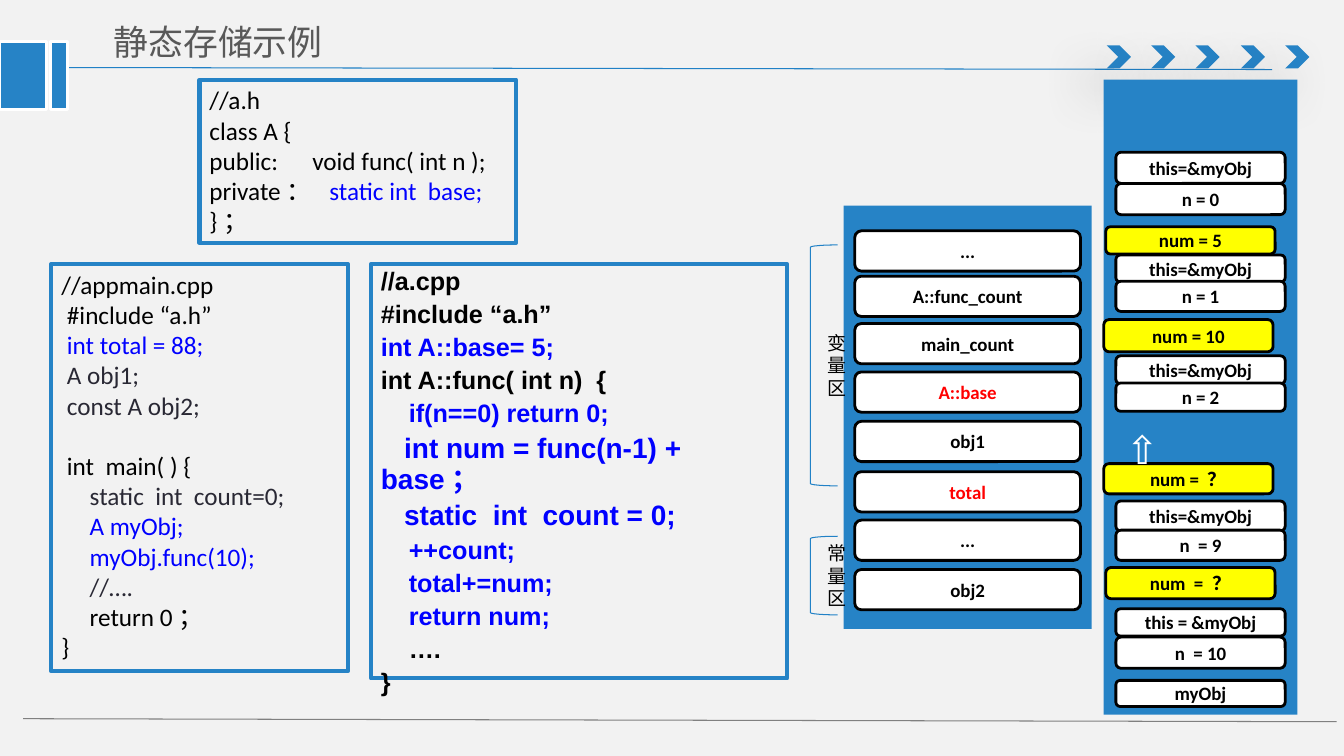
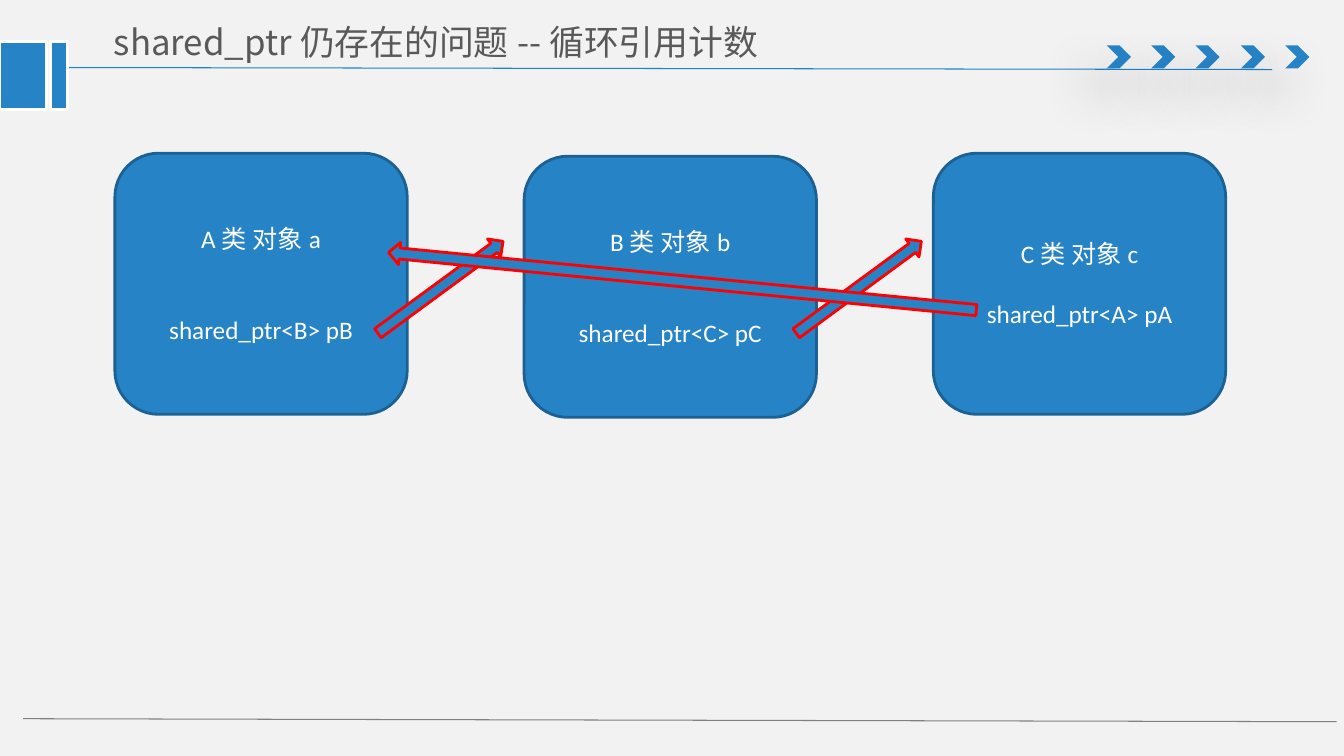
from dataclasses import dataclass

from pptx import Presentation
from pptx.dml.color import RGBColor
from pptx.enum.shapes import MSO_CONNECTOR, MSO_SHAPE
from pptx.enum.text import MSO_ANCHOR, PP_ALIGN
from pptx.oxml.ns import qn
from pptx.oxml.xmlchemy import OxmlElement
from pptx.util import Emu, Pt

PX = 9144  # EMU per px, 100 px to the inch


@dataclass(frozen=True)
class Theme:
    paper: str = "F2F2F2"
    blue: str = "2683C6"
    rule: str = "2181C6"
    edge: str = "1C6192"
    grey: str = "808080"
    title: str = "595959"
    white: str = "FFFFFF"
    black: str = "000000"
    ink: str = "292834"
    code_blue: str = "0000FF"
    red: str = "FF0000"
    yellow: str = "FFFF00"
    body_font: str = "Calibri"
    bold_font: str = "Arial"
    cjk_font: str = "Noto Sans CJK SC"
    title_size: float = 24.9
    body_size: float = 18
    large_size: float = 20
    slot_size: float = 13.5
    arrow_size: float = 28


T = Theme()


@dataclass
class Line:
    """One paragraph; tail is an optional second run as (text, colour)."""
    text: str
    color: str = T.black
    size: float = T.body_size
    before: float = 0
    tail: tuple = None
    tab: int = 0


def px(n):
    return Emu(n * PX)


def rgb(color):
    return RGBColor.from_string(color)


def add_child(parent, tag, **attrs):
    child = OxmlElement(tag)
    for name, value in attrs.items():
        child.set(name, str(value))
    parent.append(child)
    return child


def write(tf, lines, *, font=T.body_font, bold=False, align=PP_ALIGN.LEFT,
          anchor=MSO_ANCHOR.TOP, spacing=None, insets=None):
    tf.word_wrap = True
    tf.vertical_anchor = anchor
    if insets:
        tf.margin_left = tf.margin_right = px(insets[0])
        tf.margin_top = tf.margin_bottom = px(insets[1])
    for i, line in enumerate(lines):
        p = tf.paragraphs[0] if i == 0 else tf.add_paragraph()
        p.alignment = align
        if spacing:
            p.line_spacing = spacing
        if i and line.before:
            p.space_before = Pt(line.before)
        if line.tab:
            tabs = add_child(p._p.get_or_add_pPr(), "a:tabLst")
            add_child(tabs, "a:tab", pos=px(line.tab), algn="l")
        for text, color in filter(None, [(line.text, line.color), line.tail]):
            r = p.add_run()
            r.text = text
            r.font.name = font
            r.font.size = Pt(line.size)
            r.font.bold = bold
            r.font.color.rgb = rgb(color)
            add_child(r._r.get_or_add_rPr(), "a:ea", typeface=T.cjk_font)


class Deck:
    def __init__(self):
        self.prs = Presentation()
        self.prs.slide_width, self.prs.slide_height = Emu(12192000), px(750)
        bg = self.prs.slide_master.background.fill
        bg.solid()
        bg.fore_color.rgb = rgb(T.paper)

    def new_slide(self, title, title_width):
        """Add a slide with the shared rules, chevrons, blocks and title."""
        self.slide = self.prs.slides.add_slide(self.prs.slide_layouts[6])
        self.rule(53, 67, 1262, 69, T.rule)
        for i in range(5):
            self.chevron(round(1098 + 44.25 * i), 45)
        self.rule(23, 713, 1326, 716, T.grey)
        for x, w in ((0, 46), (50, 17)):
            self.shape(MSO_SHAPE.RECTANGLE, x, 41, w, 68, T.blue, T.white)
        self.text(99, 14, title_width, 55,
                  [Line(title, T.title, T.title_size)], font=T.cjk_font,
                  anchor=MSO_ANCHOR.MIDDLE, insets=(14, 7))

    def rule(self, x1, y1, x2, y2, color):
        cx = self.slide.shapes.add_connector(
            MSO_CONNECTOR.STRAIGHT, px(x1), px(y1), px(x2), px(y2))
        cx.line.color.rgb = rgb(color)
        cx.line.width = Pt(0.75)
        add_child(cx._element.spPr, "a:effectLst")

    def shape(self, kind, x, y, w, h, fill=None, line=None, width=2):
        sp = self.slide.shapes.add_shape(kind, px(x), px(y), px(w), px(h))
        sp.shadow.inherit = False
        if fill:
            sp.fill.solid()
            sp.fill.fore_color.rgb = rgb(fill)
        else:
            sp.fill.background()
        if line:
            sp.line.color.rgb = rgb(line)
            sp.line.width = Pt(width)
        else:
            sp.line.fill.background()
        return sp

    def chevron(self, x, y):
        sp = self.shape(MSO_SHAPE.CHEVRON, x, y, 24, 23, T.blue)
        effects = sp._element.spPr.find(qn("a:effectLst"))
        shadow = add_child(effects, "a:outerShdw", blurRad=Pt(36),
                           dist=Pt(24), dir=130 * 60000, rotWithShape=0)
        color = add_child(shadow, "a:srgbClr", val=T.black)
        add_child(color, "a:alpha", val=38000)

    def text(self, x, y, w, h, lines, **fmt):
        tb = self.slide.shapes.add_textbox(px(x), px(y), px(w), px(h))
        write(tb.text_frame, lines, **fmt)

    def code(self, x, y, w, h, lines, **fmt):
        sp = self.shape(MSO_SHAPE.RECTANGLE, x, y, w, h, line=T.blue, width=3)
        write(sp.text_frame, lines, **fmt)

    def label(self, sp, lines, bold=False):
        """Write centred lines in the middle of a shape."""
        write(sp.text_frame, lines, bold=bold, align=PP_ALIGN.CENTER,
              anchor=MSO_ANCHOR.MIDDLE)

    def slot(self, x, y, w, h, text, color=T.black, fill=T.white):
        sp = self.shape(MSO_SHAPE.ROUNDED_RECTANGLE, x, y, w, h, fill, T.black)
        self.label(sp, [Line(text, color, T.slot_size)], bold=True)

    def bracket(self, x, y, w, h, text):
        sp = self.shape(MSO_SHAPE.LEFT_BRACKET, x, y, w, h,
                        line=T.rule, width=0.75)
        self.label(sp, [Line(text, size=T.slot_size)])

    def object_box(self, x, y, name, pointer, gap):
        sp = self.shape(MSO_SHAPE.ROUNDED_RECTANGLE, x, y, 290, 259,
                        T.blue, T.edge)
        self.label(sp, [Line(name, T.white),
                        Line(pointer, T.white, before=gap)])

    def arrow(self, x, y, w, angle):
        sp = self.shape(MSO_SHAPE.RIGHT_ARROW, x, y, w, 22, T.blue, T.red)
        sp.rotation = angle


def storage_slide(deck):
    deck.new_slide("静态存储示例", 463)
    deck.code(198, 79, 314, 162, [
        Line("//a.h"),
        Line("class A {"),
        Line("public:\tvoid func( int n );", tab=102),
        Line("private：", tab=119, tail=("\tstatic int  base;", T.code_blue)),
        Line("}；"),
    ])
    deck.code(51, 262, 294, 404, [
        Line("//appmain.cpp"),
        Line(" #include “a.h”"),
        Line(" int total = 88;", T.code_blue),
        Line(" A obj1;", T.ink),
        Line(" const A obj2;", T.ink),
        Line(" int  main( ) {", before=21.5),
        Line("     static  int  count=0;", T.ink),
        Line("     A myObj;", T.code_blue),
        Line("     myObj.func(10);", T.code_blue),
        Line("     //….", T.ink),
        Line("     return 0；"),
        Line("}"),
    ])
    source = [
        Line("//a.cpp"),
        Line("#include “a.h”"),
        Line("int A::base= 5;", T.code_blue),
        Line("int A::func( int n)  {"),
        Line("    if(n==0) return 0;", T.code_blue),
        Line("   int num = func(n-1) + base；", T.code_blue, T.large_size),
        Line("   static  int  count = 0;", T.code_blue, T.large_size),
        Line("    ++count;", T.code_blue),
        Line("    total+=num;", T.code_blue),
        Line("    return num;", T.code_blue),
        Line("    …."),
        Line("}"),
    ]
    for line in source:
        line.before = 0.23 * line.size
    deck.code(368, 262, 413, 411, source, font=T.bold_font, bold=True,
              spacing=0.9)

    deck.shape(MSO_SHAPE.RECTANGLE, 837, 204, 246, 420, T.blue)
    deck.shape(MSO_SHAPE.RECTANGLE, 1095, 79, 192, 630, T.blue)
    deck.bracket(804, 243, 27, 239, "变量区")
    deck.bracket(804, 532, 27, 78, "常量区")
    for y, text, color in (
            (229, "...", T.black), (274, "A::func_count", T.black),
            (321, "main_count", T.black), (369, "A::base", T.red),
            (418, "obj1", T.black), (468, "total", T.red),
            (516, "...", T.black), (565, "obj2", T.black)):
        deck.slot(848, y, 224, 40, text, color)

    for y, h, text in (
            (151, 31, "this=&myObj"), (182, 31, "n = 0"),
            (253, 27, "this=&myObj"), (279, 30, "n = 1"),
            (353, 28, "this=&myObj"), (380, 28, "n = 2"),
            (497, 30, "this=&myObj"), (526, 30, "n  = 9"),
            (604, 27, "this = &myObj"), (632, 31, "n  = 10"),
            (675, 26, "myObj")):
        deck.slot(1107, y, 168, h, text)
    for x, y, h, text in (
            (1097, 225, 27, "num = 5"), (1095, 317, 32, "num = 10"),
            (1095, 460, 30, "num = ？"), (1097, 563, 31, "num  = ？")):
        deck.slot(x, y, 168, h, text, fill=T.yellow)
    deck.text(1107, 403, 51, 71, [Line("⇧", T.white, T.arrow_size)],
              font=T.bold_font, spacing=1.3)


def cycle_slide(deck):
    deck.new_slide("shared_ptr仍存在的问题--循环引用计数", 893)
    for i, (y, name, pointer, gap) in enumerate((
            (152, "A类 对象a", "shared_ptr<B> pB", 43),
            (155, "B类 对象b", "shared_ptr<C> pC", 43),
            (152, "C类 对象c", "shared_ptr<A> pA", 21.5))):
        deck.object_box(114 + 406 * i, y, name, pointer, gap)
    for x, y, w, angle in ((360, 274, 154, 323.7), (775, 274, 154, 323.7),
                           (384, 268, 586, 185.6)):
        deck.arrow(x, y, w, angle)


def main():
    deck = Deck()
    storage_slide(deck)
    cycle_slide(deck)
    deck.prs.save("out.pptx")


if __name__ == "__main__":
    main()
